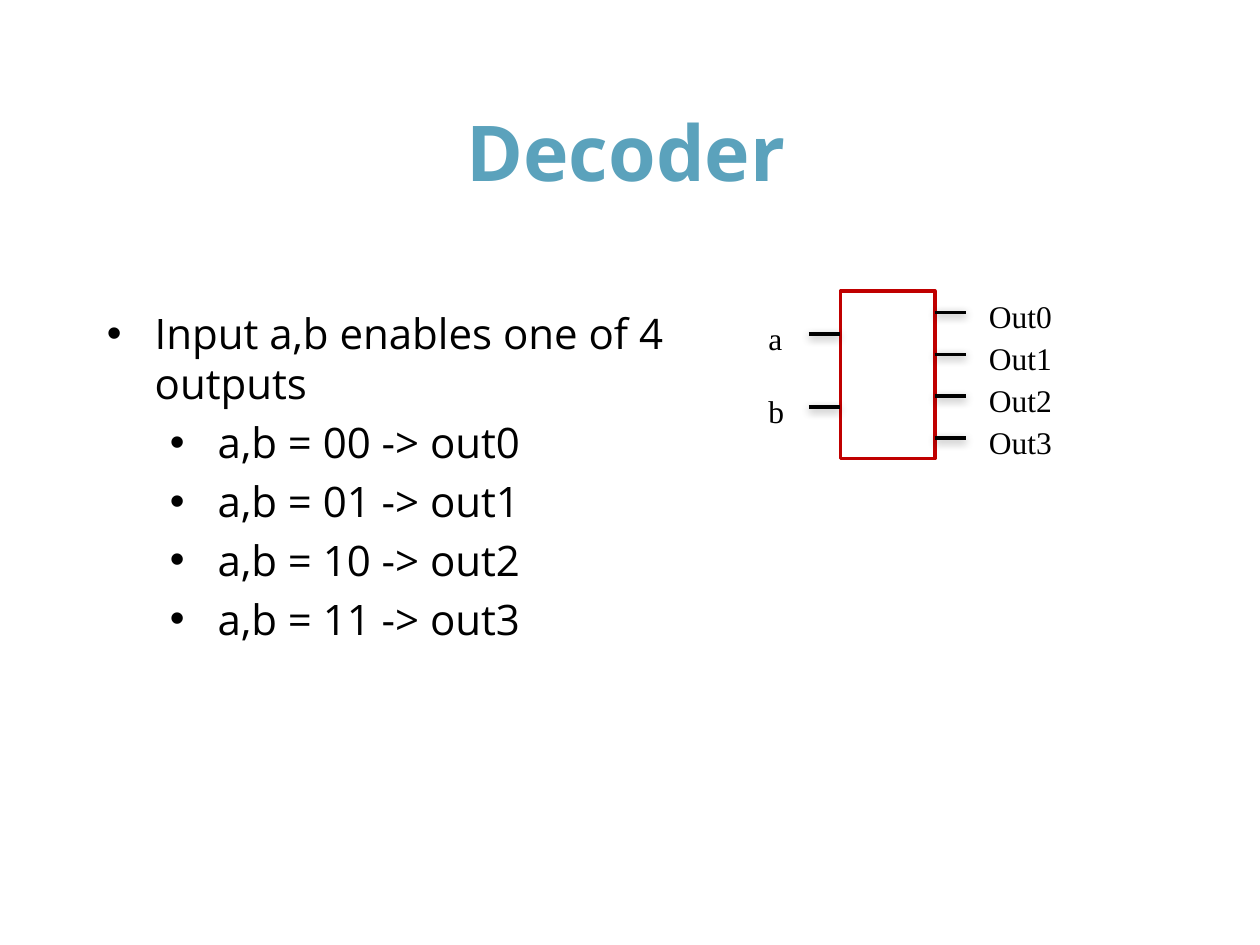
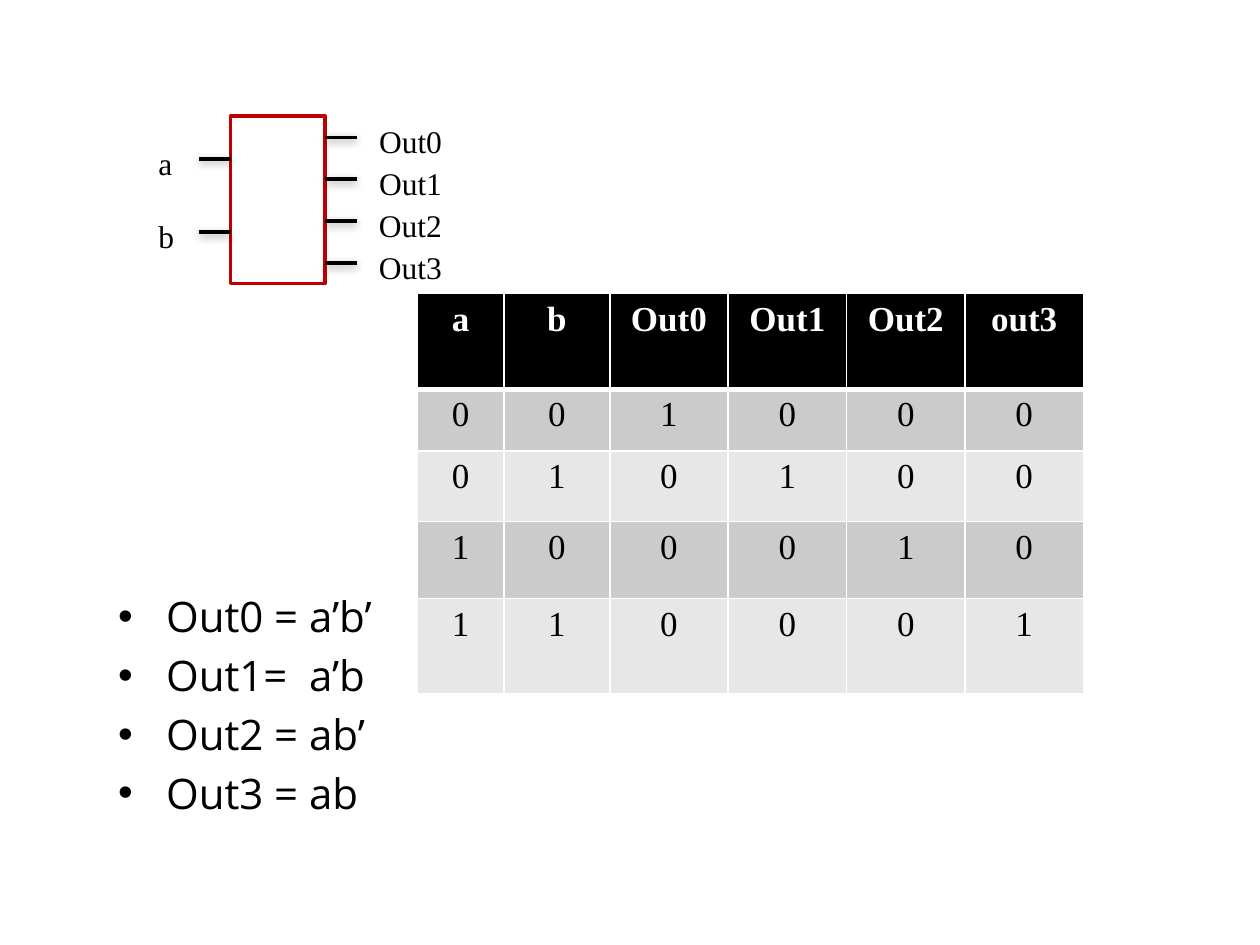
from lxml import etree
from pptx import Presentation
from pptx.dml.color import RGBColor
from pptx.enum import shapes, text
from pptx.oxml import parse_xml
from pptx.oxml.ns import nsdecls, qn
from pptx.util import Inches, Pt

BLACK = RGBColor(0, 0, 0)
WHITE = RGBColor(0xFF, 0xFF, 0xFF)
RED = RGBColor(0xC0, 0, 0)
TITLE_BLUE = RGBColor(0x5B, 0xA2, 0xBC)
DARK_BAND = RGBColor(0xCB, 0xCB, 0xCB)
LIGHT_BAND = RGBColor(0xE7, 0xE7, 0xE7)
SANS, SERIF = "Open Sans", "Times New Roman"

TITLE = "Decoder"
BEHAVIOUR = [  # (level, text)
    (0, "Input a,b enables one of 4 outputs"),
    (1, "a,b = 00 -> out0"),
    (1, "a,b = 01 -> out1"),
    (1, "a,b = 10 -> out2"),
    (1, "a,b = 11 -> out3"),
]
EQUATIONS = [
    (0, "Out0 = a’b’"),
    (0, "Out1=  a’b"),
    (0, "Out2 = ab’"),
    (0, "Out3 = ab"),
]
INPUTS = ["a", "b"]
OUTPUTS = ["Out0", "Out1", "Out2", "Out3"]
OUTPUT_WIDTHS = [0.92, 1.08, 1.17, 0.83]
TRUTH_TABLE = [
    ["a", "b", "Out0", "Out1", "Out2", "out3"],
    ["0", "0", "1", "0", "0", "0"],
    ["0", "1", "0", "1", "0", "0"],
    ["1", "0", "0", "0", "1", "0"],
    ["1", "1", "0", "0", "0", "1"],
]
COLUMN_WIDTHS = [0.69, 0.84] + [0.94] * 4
ROW_HEIGHTS = [0.76, 0.49, 0.56, 0.61, 0.76]

BLOCK_WIDTH, BLOCK_HEIGHT = 0.75, 1.33
PIN_LENGTH = 0.25
PIN_DROP = 0.17  # from the top of a label to its pin
INPUT_STEP, OUTPUT_STEP = 0.58, BLOCK_HEIGHT / len(OUTPUTS)


def write(para, content, font=SANS, size=24, color=BLACK, bold=False, align=None):
    span = para.add_run()
    span.text = content
    span.font.name, span.font.size, span.font.bold = font, Pt(size), bold
    span.font.color.rgb = color
    para.alignment = align


def add_box(page, left, top, width, height, inset_top=0.05):
    box = page.shapes.add_textbox(*map(Inches, (left, top, width, height)))
    box.text_frame.word_wrap = True
    box.text_frame.margin_top = Inches(inset_top)
    return box


def add_bullets(page, items, *area, inset_top):
    frame = add_box(page, *area, inset_top=inset_top).text_frame
    for index, (level, content) in enumerate(items):
        para = frame.add_paragraph() if index else frame.paragraphs[0]
        write(para, content)
        para.level = level
        para.line_spacing = Pt(28.8)
        if index:
            para.space_before = Pt(4.8)
        properties = para._p.get_or_add_pPr()
        properties.set("marL", str(Inches(0.38 + 0.5 * level)))
        properties.set("indent", str(Inches(-0.38)))
        font = etree.SubElement(properties, qn("a:buFont"))
        font.set("typeface", "Arial")
        etree.SubElement(properties, qn("a:buChar")).set("char", "•")


def add_pin(page, left, y):
    pin = page.shapes.add_connector(
        shapes.MSO_CONNECTOR.STRAIGHT,
        *map(Inches, (left, y, left + PIN_LENGTH, y)))
    pin.line.color.rgb = BLACK
    pin.line.width = Pt(2)
    pin._element.spPr.append(parse_xml(
        f'<a:effectLst {nsdecls("a")}>'
        f'<a:outerShdw blurRad="{Pt(5)}" dist="{Pt(1.6)}" dir="5400000" rotWithShape="0">'
        '<a:srgbClr val="000000"><a:alpha val="38000"/></a:srgbClr>'
        '</a:outerShdw></a:effectLst>'))


def add_label(page, content, left, top, width):
    box = add_box(page, left, top, width, 0.4)
    box.text_frame.auto_size = text.MSO_AUTO_SIZE.SHAPE_TO_FIT_TEXT
    write(box.text_frame.paragraphs[0], content, font=SERIF, size=18)


def add_decoder(page, left, top):
    """Draw the decoder block with its input and output pins."""
    block = page.shapes.add_shape(
        shapes.MSO_SHAPE.RECTANGLE,
        *map(Inches, (left, top, BLOCK_WIDTH, BLOCK_HEIGHT)))
    block.shadow.inherit = False
    block.fill.solid()
    block.fill.fore_color.rgb = WHITE
    block.line.color.rgb = RED
    block.line.width = Pt(2)
    for index, name in enumerate(INPUTS):
        y = top + 0.17 + index * INPUT_STEP
        add_pin(page, left - PIN_LENGTH, y + PIN_DROP)
        add_label(page, name, left - 0.67, y, 0.33)
    for index, (name, width) in enumerate(zip(OUTPUTS, OUTPUT_WIDTHS)):
        y = top + index * OUTPUT_STEP
        add_pin(page, left + BLOCK_WIDTH, y + PIN_DROP)
        add_label(page, name, left + 1.08, y, width)


def set_borders(cell, **widths):
    properties = cell._tc.get_or_add_tcPr()
    for index, (side, width) in enumerate(widths.items()):
        properties.insert(index, parse_xml(
            f'<a:ln{side} {nsdecls("a")} w="{Pt(width)}"><a:solidFill>'
            f'<a:srgbClr val="{WHITE}"/></a:solidFill></a:ln{side}>'))


def add_truth_table(page, left, top):
    table = page.shapes.add_table(
        len(TRUTH_TABLE), len(COLUMN_WIDTHS), Inches(left), Inches(top),
        Inches(sum(COLUMN_WIDTHS)), Inches(sum(ROW_HEIGHTS))).table
    for column, width in zip(table.columns, COLUMN_WIDTHS):
        column.width = Inches(width)
    for row, height in zip(table.rows, ROW_HEIGHTS):
        row.height = Inches(height)
    for r, values in enumerate(TRUTH_TABLE):
        header = r == 0
        band = BLACK if header else DARK_BAND if r % 2 else LIGHT_BAND
        for c, value in enumerate(values):
            cell = table.cell(r, c)
            set_borders(cell, L=1, R=1, T=3 if r == 1 else 1, B=3 if header else 1)
            cell.fill.solid()
            cell.fill.fore_color.rgb = band
            write(cell.text_frame.paragraphs[0], value, font=SERIF, size=20,
                  color=WHITE if header else BLACK, bold=header,
                  align=text.PP_ALIGN.CENTER)


def main():
    deck = Presentation()
    deck.slide_width, deck.slide_height = Inches(10), Inches(7.5)
    blank = deck.slide_layouts[6]

    page = deck.slides.add_slide(blank)
    add_bullets(page, BEHAVIOUR, 0.75, 1.42, 4.83, 5.58, inset_top=1.02)
    add_decoder(page, 6.67, 2.31)
    title = add_box(page, 0.72, 0.83, 8.5, 0.71, inset_top=0)
    write(title.text_frame.paragraphs[0], TITLE, size=44, color=TITLE_BLUE,
          bold=True, align=text.PP_ALIGN.CENTER)

    page = deck.slides.add_slide(blank)
    add_decoder(page, 1.83, 0.92)
    add_truth_table(page, 3.31, 2.33)
    add_bullets(page, EQUATIONS, 0.84, 4.61, 2.54, 2.28, inset_top=0.08)

    deck.save("out.pptx")


if __name__ == "__main__":
    main()
